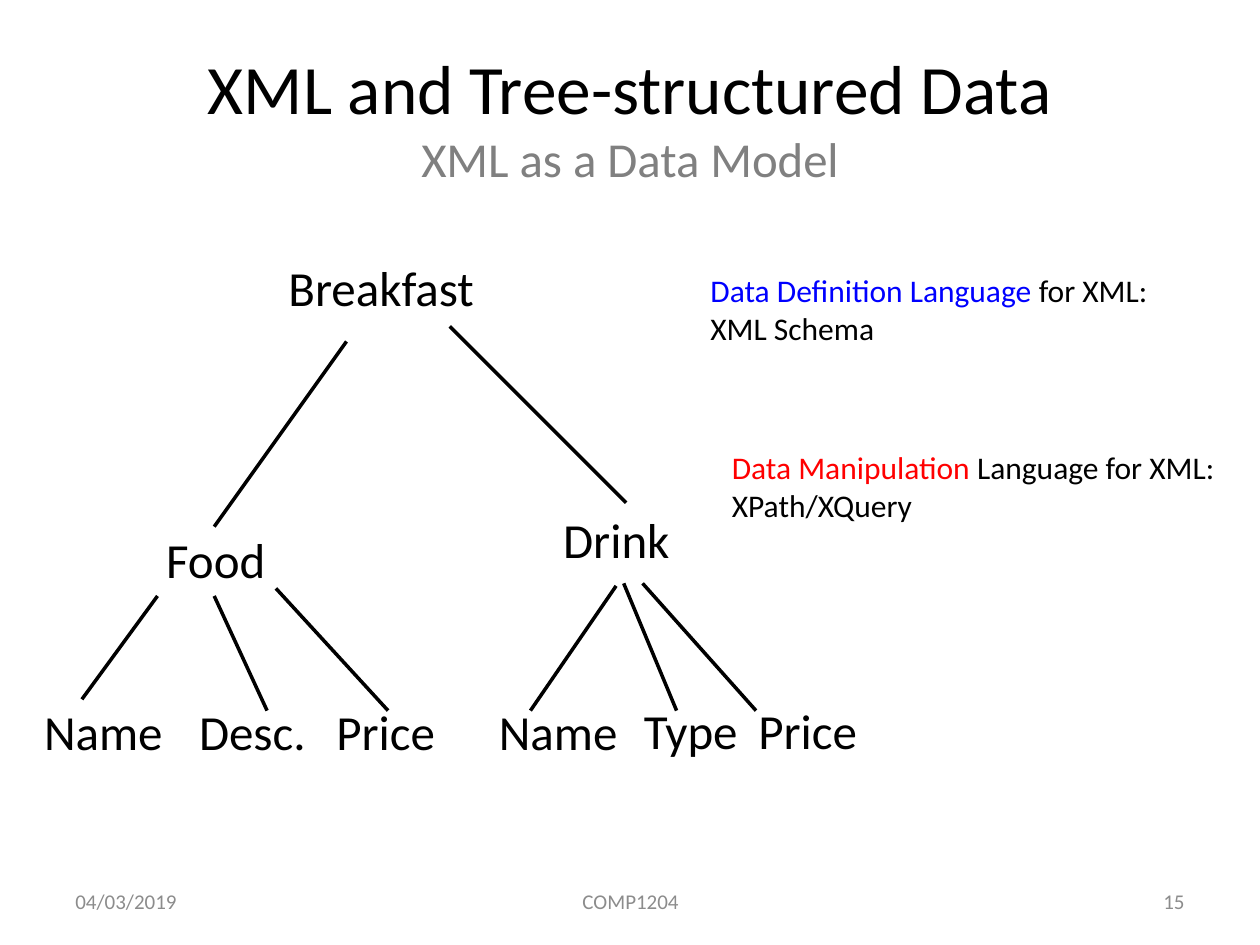
from typing import NamedTuple

from lxml.etree import SubElement
from pptx import Presentation
from pptx.dml.color import RGBColor
from pptx.enum.shapes import MSO_CONNECTOR
from pptx.enum.text import MSO_ANCHOR, MSO_AUTO_SIZE, PP_ALIGN
from pptx.oxml.ns import qn
from pptx.util import Inches, Pt

FONT = "Calibri"
BLACK, GREY, FOOTER_GREY = "000000", "808080", "8C8C8C"


class Node(NamedTuple):
    text: str
    left: float
    top: float
    width: float
    tab: float = 0


class Branch(NamedTuple):
    x1: float
    y1: float
    x2: float
    y2: float


class Note(NamedTuple):
    left: float
    top: float
    width: float
    key: str
    rest: str
    answer: str
    color: str


class Footer(NamedTuple):
    text: str
    left: float
    width: float
    align: PP_ALIGN


NODES = [
    Node("Breakfast", 2.28, 2.02, 2.13),
    Node("Food", 1.31, 4.18, 1.17),
    Node("Drink", 4.46, 4.02, 1.19),
    Node("Name", 0.34, 5.55, 1.36),
    Node("Desc.\tPrice", 1.57, 5.55, 2.64, 1.09),
    Node("Name", 3.95, 5.55, 1.36),
    Node("Type\tPrice", 5.1, 5.54, 2.53, 0.91),
]
BRANCHES = [
    Branch(2.75, 2.71, 1.7, 4.18),
    Branch(3.57, 2.59, 4.97, 3.99),
    Branch(1.25, 4.73, 0.65, 5.55),
    Branch(1.7, 4.73, 2.12, 5.64),
    Branch(2.19, 4.67, 3.08, 5.64),
    Branch(4.89, 4.65, 4.21, 5.64),
    Branch(4.95, 4.63, 5.37, 5.64),
    Branch(5.1, 4.63, 6, 5.64),
]
NOTES = [
    Note(5.54, 2.1, 3.77, "Data Definition Language ", "for XML:", "XML Schema", "0000FF"),
    Note(5.71, 3.51, 4.15, "Data Manipulation ", "Language for XML:", "XPath/XQuery", "FF0000"),
]
FOOTERS = [
    Footer("04/03/2019", 0.5, 2.33, PP_ALIGN.LEFT),
    Footer("COMP1204", 3.42, 3.17, PP_ALIGN.CENTER),
    Footer("15", 7.17, 2.33, PP_ALIGN.RIGHT),
]


def style(span, size: float, color: str = BLACK) -> None:
    span.font.name = FONT
    span.font.size = Pt(size)
    span.font.color.rgb = RGBColor.from_string(color)


def add_box(page, left: float, top: float, width: float, height: float):
    box = page.shapes.add_textbox(Inches(left), Inches(top), Inches(width), Inches(height))
    box.text_frame.word_wrap = True
    return box.text_frame


def format_title(page) -> None:
    title = page.shapes.title
    title.left, title.top = Inches(0.5), Inches(0.3)
    title.width, title.height = Inches(9), Inches(1.25)
    frame = title.text_frame
    frame.auto_size = MSO_AUTO_SIZE.NONE
    frame.vertical_anchor = MSO_ANCHOR.MIDDLE
    para = frame.paragraphs[0]
    para.text = "XML and Tree-structured Data\vXML as a Data Model"
    para.alignment = PP_ALIGN.CENTER
    heading, subheading = para.runs
    style(heading, 39.6)
    style(subheading, 27.9, GREY)
    # The line break needs its own size to keep the first line's height
    SubElement(para._p.find(qn("a:br")), qn("a:rPr"), sz="3960")


def add_node(page, node: Node) -> None:
    frame = add_box(page, node.left, node.top, node.width, 0.49)
    frame.margin_left = frame.margin_right = frame.margin_bottom = 0
    frame.margin_top = Inches(0.02)
    para = frame.paragraphs[0]
    para.text = node.text
    properties = para._p.get_or_add_pPr()
    properties.set("marL", str(Inches(0.01)))
    if node.tab:
        tabs = SubElement(properties, qn("a:tabLst"))
        SubElement(tabs, qn("a:tab"), pos=str(Inches(node.tab)), algn="l")
    style(para.runs[0], 28)


def add_branch(page, branch: Branch) -> None:
    line = page.shapes.add_connector(MSO_CONNECTOR.STRAIGHT, *map(Inches, branch))
    line.line.color.rgb = RGBColor.from_string(BLACK)
    line.line.width = Pt(2)
    SubElement(line._element.spPr, qn("a:effectLst"))


def add_note(page, note: Note) -> None:
    frame = add_box(page, note.left, note.top, note.width, 0.72)
    frame.word_wrap = False
    question, answer = frame.paragraphs[0], frame.add_paragraph()
    question.text, answer.text = note.key, note.answer
    question.add_run().text = note.rest
    style(question.runs[0], 18, note.color)
    style(question.runs[1], 18)
    style(answer.runs[0], 18)


def add_footer(page, footer: Footer) -> None:
    frame = add_box(page, footer.left, 6.95, footer.width, 0.4)
    frame.vertical_anchor = MSO_ANCHOR.MIDDLE
    frame.text = footer.text
    para = frame.paragraphs[0]
    para.alignment = footer.align
    style(para.runs[0], 12, FOOTER_GREY)


def main() -> None:
    deck = Presentation()
    deck.slide_width, deck.slide_height = Inches(10), Inches(7.5)
    page = deck.slides.add_slide(deck.slide_layouts[5])
    format_title(page)
    for footer in FOOTERS:
        add_footer(page, footer)
    for node in NODES:
        add_node(page, node)
    for branch in BRANCHES:
        add_branch(page, branch)
    for note in NOTES:
        add_note(page, note)
    deck.save("out.pptx")


if __name__ == "__main__":
    main()
